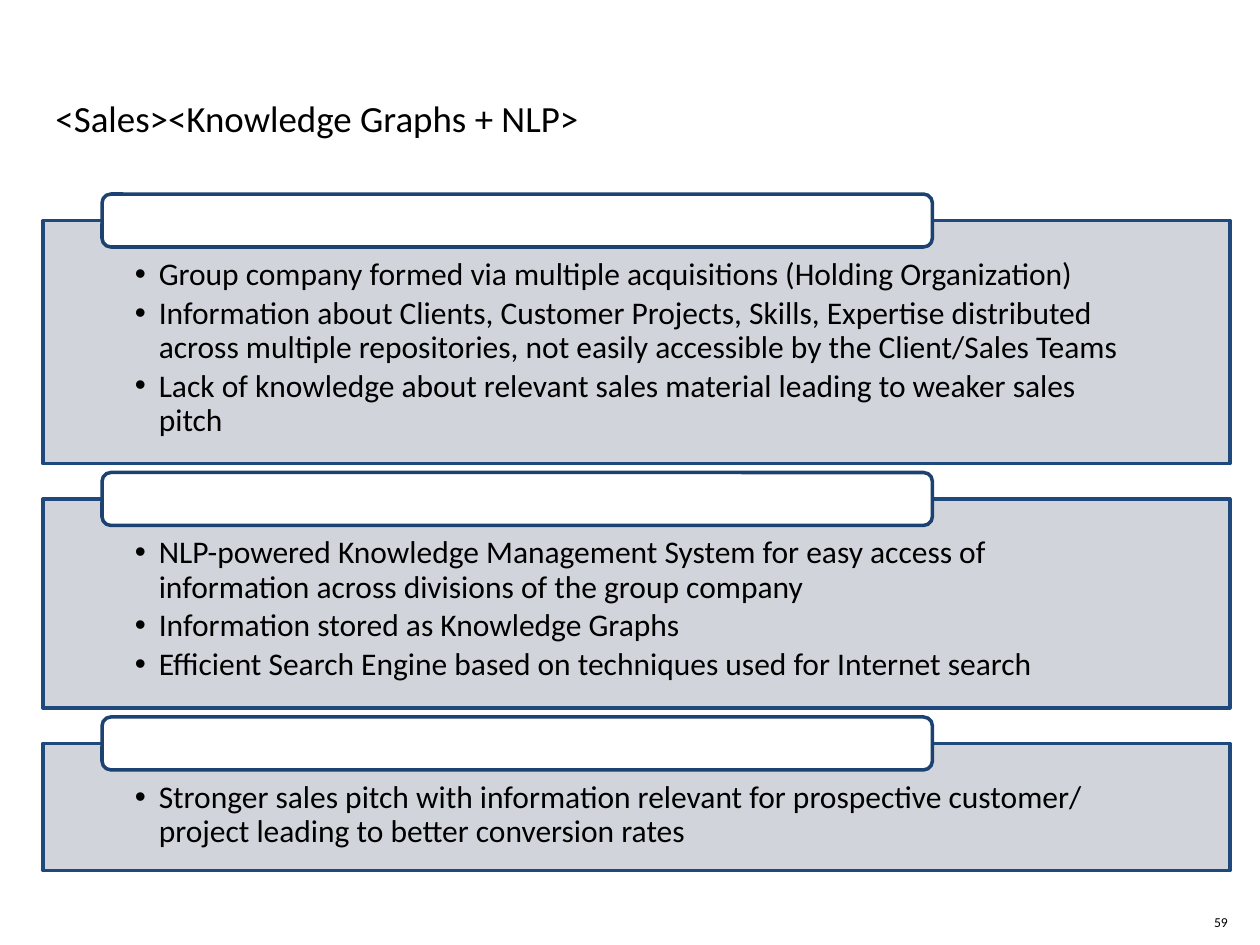
from dataclasses import dataclass

from lxml import etree
from pptx import Presentation
from pptx import util as u
from pptx.dml.color import RGBColor
from pptx.enum import shapes, text
from pptx.oxml.ns import qn


@dataclass(frozen=True)
class Theme:
    font: str = "Calibri"
    ink: str = "000000"
    panel_fill: str = "CDD0D7"
    panel_line: str = "1F497D"
    tab_fill: str = "FFFFFF"
    tab_line: str = "1C4271"
    title_size: float = 21.1
    body_size: float = 18
    number_size: float = 7.8
    line_width: float = 2


class SlideBuilder:
    """Holds the style and the slide being drawn."""

    def __init__(self, slide, theme):
        self.slide = slide
        self.theme = theme

    def place(self, shape, left, top, width, height):
        shape.left, shape.top = u.Inches(left), u.Inches(top)
        shape.width, shape.height = u.Inches(width), u.Inches(height)

    def paint(self, shape, fill, line):
        shape.fill.solid()
        shape.fill.fore_color.rgb = RGBColor.from_string(fill)
        shape.line.color.rgb = RGBColor.from_string(line)
        shape.line.width = u.Pt(self.theme.line_width)

    def set_frame(self, shape, anchor, insets):
        frame = shape.text_frame
        frame.word_wrap = True
        frame.auto_size = text.MSO_AUTO_SIZE.NONE
        frame.vertical_anchor = anchor
        (frame.margin_left, frame.margin_top,
         frame.margin_right, frame.margin_bottom) = map(u.Inches, insets)
        return frame

    def add_run(self, paragraph, words, size):
        run = paragraph.add_run()
        run.text = words
        run.font.name = self.theme.font
        run.font.size = u.Pt(size)
        run.font.bold = False
        run.font.color.rgb = RGBColor.from_string(self.theme.ink)

    def title(self, words, *box):
        shape = self.slide.shapes.title
        self.place(shape, *box)
        frame = self.set_frame(shape, text.MSO_ANCHOR.TOP, (0.1, 0.05, 0.1, 0.05))
        paragraph = frame.paragraphs[0]
        paragraph.alignment = text.PP_ALIGN.LEFT
        self.add_run(paragraph, words, self.theme.title_size)

    def panel(self, placeholder, items, *box):
        self.place(placeholder, *box)
        self.paint(placeholder, self.theme.panel_fill, self.theme.panel_line)
        color = placeholder._element.spPr.find(qn("a:solidFill"))[0]
        etree.SubElement(color, qn("a:alpha"), val="90000")
        frame = self.set_frame(placeholder, text.MSO_ANCHOR.TOP, (0.73, 0.3, 0.73, 0.14))
        for index, item in enumerate(items):
            paragraph = frame.add_paragraph() if index else frame.paragraphs[0]
            self.bullet(paragraph)
            paragraph.line_spacing = 0.9
            paragraph.space_before = u.Pt(0)
            paragraph.space_after = u.Pt(2.7)
            self.add_run(paragraph, item, self.theme.body_size)

    def bullet(self, paragraph):
        properties = paragraph._p.get_or_add_pPr()
        indent = u.Inches(0.19)
        properties.set("marL", str(indent))
        properties.set("indent", str(-indent))
        etree.SubElement(properties, qn("a:buFont"), typeface="Arial")
        etree.SubElement(properties, qn("a:buChar"), char="•")

    def tab(self, *box):
        shape = self.slide.shapes.add_shape(
            shapes.MSO_SHAPE.ROUNDED_RECTANGLE, *map(u.Inches, box))
        shape.shadow.inherit = False
        self.paint(shape, self.theme.tab_fill, self.theme.tab_line)

    def page_number(self, number, *box):
        shape = self.slide.shapes.add_textbox(*map(u.Inches, box))
        frame = self.set_frame(shape, text.MSO_ANCHOR.MIDDLE, (0, 0, 0, 0))
        paragraph = frame.paragraphs[0]
        paragraph.alignment = text.PP_ALIGN.CENTER
        self.add_run(paragraph, number, self.theme.number_size)


# Panel top, panel height, bullet items
PANELS = [
    (1.75, 1.93, [
        "Group company formed via multiple acquisitions (Holding Organization)",
        "Information about Clients, Customer Projects, Skills, Expertise distributed "
        "across multiple repositories, not easily accessible by the Client/Sales Teams",
        "Lack of knowledge about relevant sales material leading to weaker sales pitch",
    ]),
    (3.96, 1.66, [
        "NLP-powered Knowledge Management System for easy access of information "
        "across divisions of the group company",
        "Information stored as Knowledge Graphs",
        "Efficient Search Engine based on techniques used for Internet search",
    ]),
    (5.9, 1.01, [
        "Stronger sales pitch with information relevant for prospective customer/ "
        "project leading to better conversion rates",
    ]),
]
LEFT = 0.34
TAB_HEIGHT = 0.42


def main():
    presentation = Presentation()
    presentation.slide_width, presentation.slide_height = u.Inches(10), u.Inches(7.5)
    # The comparison layout offers a title and four body placeholders
    slide = presentation.slides.add_slide(presentation.slide_layouts[4])
    builder = SlideBuilder(slide, Theme())

    # Heading
    builder.title("<Sales><Knowledge Graphs + NLP>", LEFT, 0.71, 8.09, 0.6)

    # Bulleted panels, each with a blank tab centred on its top edge
    bodies = list(slide.placeholders)[1:]
    for body, (top, height, items) in zip(bodies, PANELS):
        builder.panel(body, items, LEFT, top, 9.42, height)
        builder.tab(0.81, top - TAB_HEIGHT / 2, 6.59, TAB_HEIGHT)
    for spare in bodies[len(PANELS):]:
        spare._element.getparent().remove(spare._element)

    # Page number
    builder.page_number("59", 9.38, 7.2, 0.62, 0.23)

    presentation.save("out.pptx")


if __name__ == "__main__":
    main()
